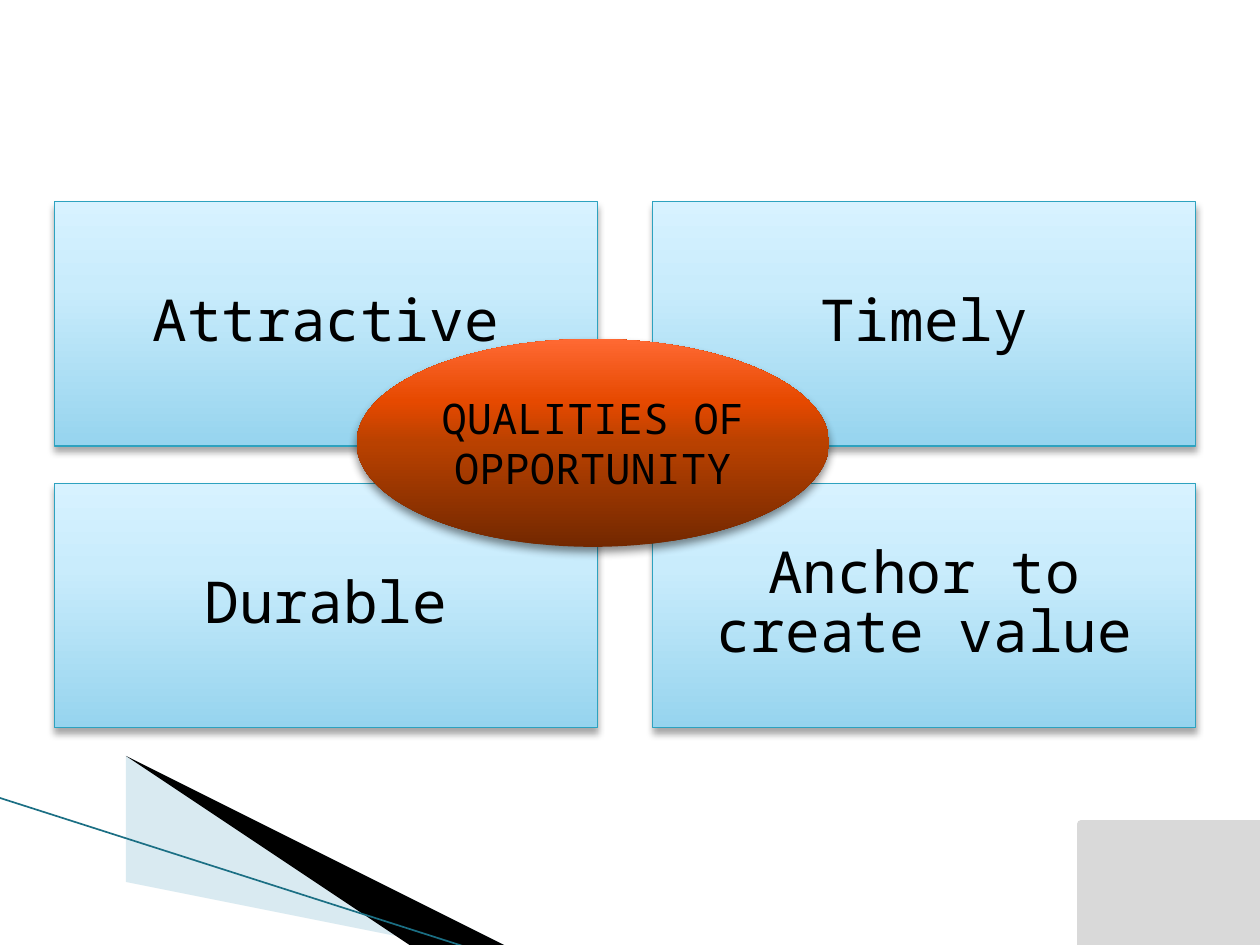
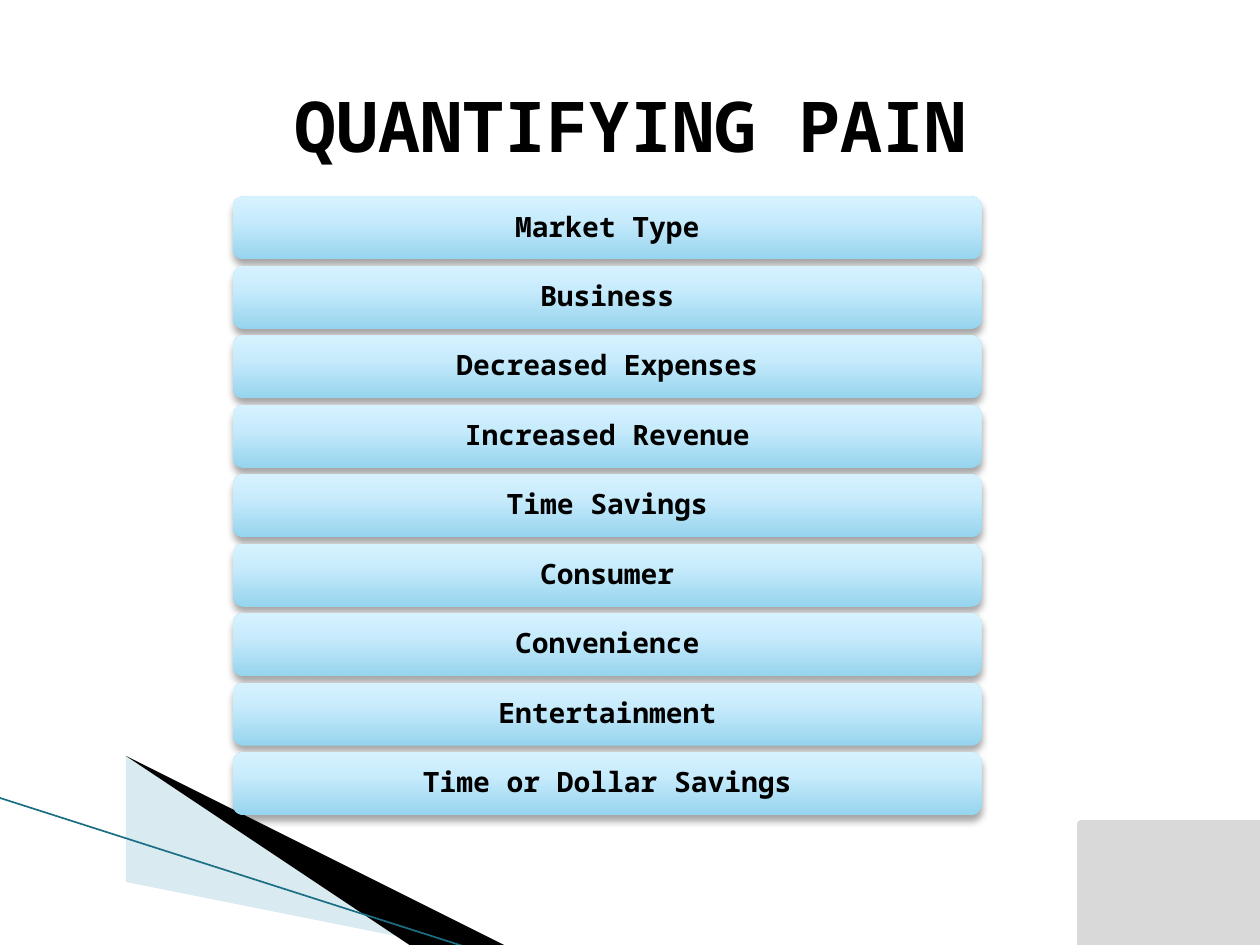
from pptx import Presentation, util as u
from pptx.dml.color import RGBColor
from pptx.enum import shapes, text
from pptx.oxml import ns
from lxml import etree

WIDTH, HEIGHT = 10, 7.5
FONT = "Noto Sans Mono"
COLORS = {"ink": "000000", "pale": "A0CBDC", "edge": "1B6F84",
          "border": "2DA2BF", "corner": "D9D9D9"}

# Gradient stops run from the bottom edge (0 %) to the top edge (100 %)
SKY = {0: "96D4EE", 65: "C9ECFC", 100: "D7F2FF"}
EMBER = {0: "732800", 50: "B94100", 70: "E64900", 100: "FF6933"}

# Character and paragraph formats
TILE = ({"size": u.Pt(33)}, {"line_spacing": 0.85, "space_after": u.Pt(6.6)})
HUB = ({"size": u.Pt(24)}, {})
BAR = ({"size": u.Pt(16), "bold": True},
       {"line_spacing": 0.9, "space_after": u.Pt(5.6)})
TITLE = ({"size": u.Pt(40), "bold": True}, {})

QUALITIES = ["Attractive", "Timely", "Durable", "Anchor to create value"]
PAINS = ["Market Type", "Business", "Decreased Expenses", "Increased Revenue",
         "Time Savings", "Consumer", "Convenience", "Entertainment",
         "Time or Dollar Savings"]


def color(name):
    return RGBColor.from_string(COLORS[name])


def apply(target, values):
    for name, value in values.items():
        setattr(target, name, value)


def add_child(parent, tag, **attributes):
    child = etree.SubElement(parent, ns.qn(tag))
    for name, value in attributes.items():
        child.set(name, str(value))
    return child


def write(shape, words, style):
    """Centred text in the shape, with a character and a paragraph format."""
    font_format, paragraph_format = style
    frame = shape.text_frame
    apply(frame, {"word_wrap": True, "auto_size": text.MSO_AUTO_SIZE.NONE,
                  "vertical_anchor": text.MSO_ANCHOR.MIDDLE,
                  "margin_left": u.Inches(0.07), "margin_right": u.Inches(0.07),
                  "margin_top": u.Inches(0.04), "margin_bottom": u.Inches(0.04)})
    frame.text = words
    paragraph = frame.paragraphs[0]
    apply(paragraph, {"alignment": text.PP_ALIGN.CENTER, **paragraph_format})
    font = paragraph.runs[0].font
    apply(font, {"name": FONT, **font_format})
    font.color.rgb = color("ink")


def set_gradient(shape, stops):
    shape.fill.gradient()
    shape.fill.gradient_angle = 90
    stop_list = shape._element.spPr.find(".//" + ns.qn("a:gsLst"))
    for stop in list(stop_list):
        stop_list.remove(stop)
    for position, value in stops.items():
        stop = add_child(stop_list, "a:gs", pos=position * 1000)
        add_child(stop, "a:srgbClr", val=value)


def set_shadow(shape, blur, opacity):
    shape.shadow.inherit = False
    effects = shape._element.spPr.find(ns.qn("a:effectLst"))
    shadow = add_child(effects, "a:outerShdw", blurRad=u.Pt(blur),
                       dist=u.Pt(3), dir=90 * 60000, rotWithShape=0)
    shade = add_child(shadow, "a:srgbClr", val=COLORS["ink"])
    add_child(shade, "a:alpha", val=opacity * 1000)


def add_panel(slide, kind, box, words, style, stops=SKY, blur=4, opacity=35):
    """Gradient shape with a soft shadow and a label."""
    shape = slide.shapes.add_shape(kind, *map(u.Inches, box))
    set_gradient(shape, stops)
    set_shadow(shape, blur, opacity)
    shape.line.fill.background()
    write(shape, words, style)
    return shape


def add_wedge(slide, points, fill, opacity=100):
    builder = slide.shapes.build_freeform(*points[0], scale=u.Inches(1))
    builder.add_line_segments(points[1:])
    wedge = builder.convert_to_shape()
    wedge.shadow.inherit = False
    wedge.fill.solid()
    wedge.fill.fore_color.rgb = color(fill)
    wedge.line.fill.background()
    if opacity < 100:
        shade = wedge._element.spPr.find(".//" + ns.qn("a:srgbClr"))
        add_child(shade, "a:alpha", val=opacity * 1000)


def add_swoosh(slide):
    """Two wedges and a thin line in the lower left corner."""
    add_wedge(slide, [(0.55, 6.51), (5.95, 7.51), (4.56, 7.51), (0.55, 6.5)],
              "pale", 40)
    add_wedge(slide, [(0.53, 6.49), (4.57, 7.51), (3.72, 7.52), (0.54, 6.5)],
              "ink")
    edge = slide.shapes.add_connector(
        shapes.MSO_CONNECTOR.STRAIGHT, *map(u.Inches, (-0.01, 6.33, 3.71, 7.52)))
    edge.line.width = u.Pt(0.95)
    edge.line.color.rgb = color("edge")
    add_child(edge._element.spPr, "a:effectLst")


def add_corner(slide):
    """Grey block in the lower right corner."""
    width, height = 1.42, 0.96
    corner = slide.shapes.add_shape(
        shapes.MSO_SHAPE.RECTANGLE,
        *map(u.Inches, (WIDTH - width, HEIGHT - height, width, height)))
    corner.shadow.inherit = False
    corner.fill.solid()
    corner.fill.fore_color.rgb = color("corner")
    corner.line.color.rgb = color("corner")
    corner.line.width = u.Pt(4.33)


def add_title(slide, words):
    title = slide.shapes.title
    apply(title, {"left": u.Inches(WIDTH / 6), "top": u.Inches(0.72),
                  "width": u.Inches(WIDTH * 2 / 3), "height": u.Inches(0.54)})
    write(title, words, TITLE)


def add_qualities(slide):
    """Two by two tiles with an ellipse over their centre."""
    left, top, width, height = 0.43, 1.6, 4.31, 1.94
    column_step, row_step = 4.75, 2.235
    for index, quality in enumerate(QUALITIES):
        row, column = divmod(index, 2)
        box = (left + column * column_step, top + row * row_step, width, height)
        tile = add_panel(slide, shapes.MSO_SHAPE.RECTANGLE, box, quality, TILE)
        tile.line.color.rgb = color("border")
        tile.line.width = u.Pt(0.75)
    add_panel(slide, shapes.MSO_SHAPE.OVAL, (2.83, 2.69, 3.75, 1.65),
              "QUALITIES OF OPPORTUNITY", HUB, EMBER, blur=5, opacity=45)


def add_pains(slide):
    """Equal stack of rounded bars."""
    first, last = 1.56, 5.97
    step = (last - first) / (len(PAINS) - 1)
    for row, pain in enumerate(PAINS):
        add_panel(slide, shapes.MSO_SHAPE.ROUNDED_RECTANGLE,
                  (1.85, first + row * step, 5.94, 0.5), pain, BAR)


def main():
    presentation = Presentation()
    presentation.slide_width = u.Inches(WIDTH)
    presentation.slide_height = u.Inches(HEIGHT)
    title_only, blank = presentation.slide_layouts[5], presentation.slide_layouts[6]

    # Qualities of an opportunity
    slide = presentation.slides.add_slide(blank)
    add_swoosh(slide)
    add_qualities(slide)
    add_corner(slide)

    # Quantifying pain
    slide = presentation.slides.add_slide(title_only)
    add_swoosh(slide)
    add_title(slide, "QUANTIFYING PAIN")
    add_pains(slide)
    add_corner(slide)

    presentation.save("out.pptx")


if __name__ == "__main__":
    main()
